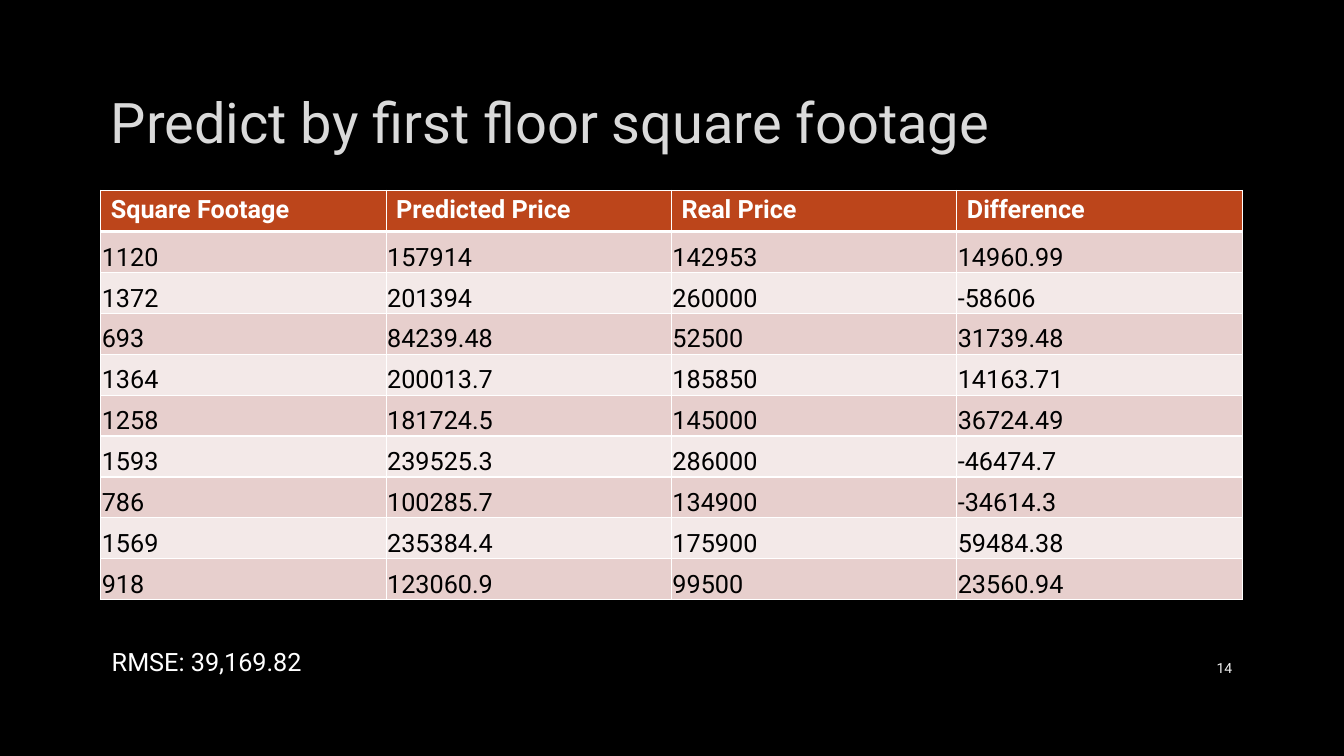
"""Build a slide comparing predicted and real house prices by first floor area."""
import pptx
import pptx.dml.color
import pptx.enum.text
import pptx.oxml
import pptx.oxml.ns
import pptx.util

TITLE = "Predict by first floor square footage"
RMSE = "RMSE: 39,169.82"
PAGE_NUMBER = "14"
HEADER = ("Square Footage", "Predicted Price", "Real Price", "Difference")
PRICES = [
    ("1120", "157914", "142953", "14960.99"),
    ("1372", "201394", "260000", "-58606"),
    ("693", "84239.48", "52500", "31739.48"),
    ("1364", "200013.7", "185850", "14163.71"),
    ("1258", "181724.5", "145000", "36724.49"),
    ("1593", "239525.3", "286000", "-46474.7"),
    ("786", "100285.7", "134900", "-34614.3"),
    ("1569", "235384.4", "175900", "59484.38"),
    ("918", "123060.9", "99500", "23560.94"),
]
COLORS = {
    "background": "000000", "title": "DADADA", "header": "BC451B",
    "odd": "E7CFCD", "even": "F3E9E8", "dark": "000000",
    "light": "FFFFFF", "number": "F2F2F2",
}
FONT = "Roboto"
WIDTH, HEIGHT = 13.33, 7.5
LEFT, CONTENT_WIDTH = 1, 11.32
TABLE_TOP, TABLE_HEIGHT = 1.89, 4.06
MIDDLE = pptx.enum.text.MSO_ANCHOR.MIDDLE
BOTTOM = pptx.enum.text.MSO_ANCHOR.BOTTOM
RIGHT = pptx.enum.text.PP_ALIGN.RIGHT


def inches(*lengths):
    return [pptx.util.Inches(length) for length in lengths]


def rgb(name):
    return pptx.dml.color.RGBColor.from_string(COLORS[name])


def write(frame, text, size, color, bold=False, align=None):
    frame.text = text
    paragraph = frame.paragraphs[0]
    paragraph.alignment = align
    font = paragraph.font
    font.name, font.size, font.bold = FONT, pptx.util.Pt(size), bold
    font.color.rgb = rgb(color)


def add_text(slide, box, text, size, color, align=None, anchor=None, wrap=True):
    frame = slide.shapes.add_textbox(*inches(*box)).text_frame
    frame.word_wrap = wrap
    frame.vertical_anchor = anchor
    write(frame, text, size, color, align=align)


def add_borders(cell, top, bottom):
    properties = cell._tc.get_or_add_tcPr()
    for side, points in (("L", 1), ("R", 1), ("T", top), ("B", bottom)):
        properties.append(pptx.oxml.parse_xml(
            f'<a:ln{side} {pptx.oxml.ns.nsdecls("a")} w="{pptx.util.Pt(points)}">'
            f'<a:solidFill><a:srgbClr val="{COLORS["light"]}"/></a:solidFill></a:ln{side}>'))


def format_cell(cell, text, row):
    is_header = row == 0
    add_borders(cell, 3 if row == 1 else 1, 3 if is_header else 1)
    cell.fill.solid()
    cell.fill.fore_color.rgb = rgb("header" if is_header else "odd" if row % 2 else "even")
    if not is_header:
        cell.vertical_anchor = BOTTOM
        cell.margin_left, cell.margin_top, cell.margin_right, cell.margin_bottom = inches(
            0.01, 0.01, 0.01, 0)
    write(cell.text_frame, text, 18, "light" if is_header else "dark", bold=is_header)


def add_price_table(slide):
    rows = [HEADER, *PRICES]
    box = inches(LEFT, TABLE_TOP, CONTENT_WIDTH, TABLE_HEIGHT)
    table = slide.shapes.add_table(len(rows), len(HEADER), *box).table
    for row, values in enumerate(rows):
        for column, text in enumerate(values):
            format_cell(table.cell(row, column), text, row)


def main():
    presentation = pptx.Presentation()
    presentation.slide_width, presentation.slide_height = inches(WIDTH, HEIGHT)
    slide = presentation.slides.add_slide(presentation.slide_layouts[5])
    slide.background.fill.solid()
    slide.background.fill.fore_color.rgb = rgb("background")

    title = slide.shapes.title
    title.left, title.top, title.width, title.height = inches(LEFT, 0.67, CONTENT_WIDTH, 1.06)
    title.text_frame.vertical_anchor = MIDDLE
    write(title.text_frame, TITLE, 40, "title", align=pptx.enum.text.PP_ALIGN.LEFT)

    add_price_table(slide)
    add_text(slide, (11.5, 6.43, 0.82, 0.4), PAGE_NUMBER, 10, "number", RIGHT, MIDDLE)
    add_text(slide, (1.01, 6.36, 2.11, 0.4), RMSE, 18, "light", wrap=False)
    presentation.save("out.pptx")


if __name__ == "__main__":
    main()
